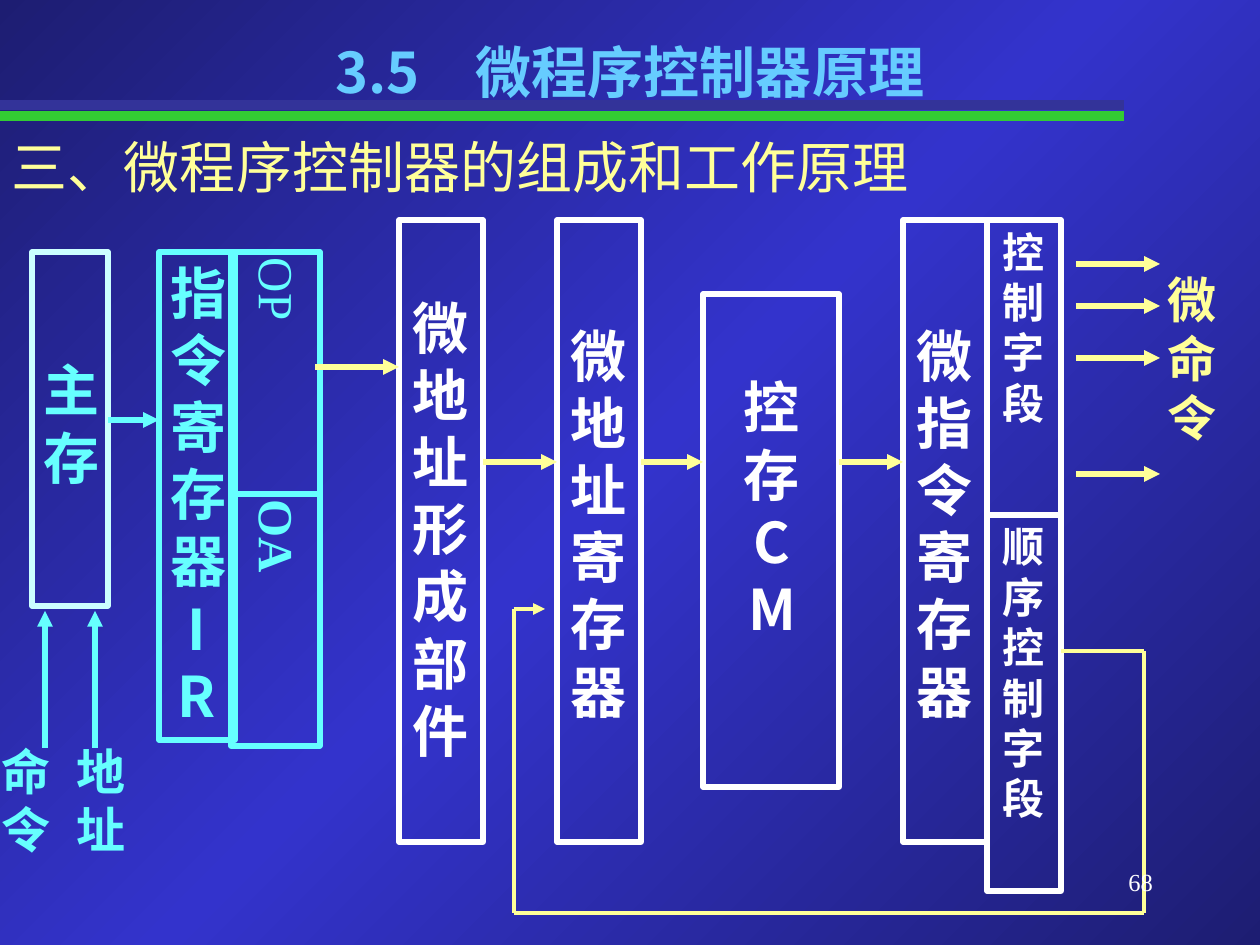
import copy
from dataclasses import dataclass

import pptx
import pptx.util
import pptx.dml.color
import pptx.enum.shapes
import pptx.enum.text
import pptx.oxml.ns
import pptx.oxml.xmlchemy

ALIGN = pptx.enum.text.PP_ALIGN
SCALE = 914400 / 126


@dataclass(frozen=True)
class Theme:
    dark: str = "1D1D72"
    blue: str = "3333CC"
    navy: str = "333399"
    green: str = "33CC33"
    sky: str = "66CCFF"
    cyan: str = "66FFFF"
    pale: str = "CCFFFF"
    cream: str = "FFFF99"
    white: str = "FFFFFF"
    serif: str = "Times New Roman"
    sans: str = "Noto Sans CJK SC"
    big: int = 32
    mid: int = 28
    small: int = 24
    tiny: int = 14
    rule: float = 5.5
    edge: float = 3
    thin: float = 2.25


THEME = Theme()


def px(n):
    return pptx.util.Emu(round(n * SCALE))


def rgb(code):
    return pptx.dml.color.RGBColor.from_string(code)


def write(shape, text, size, color, font=THEME.serif, bold=True,
          align=ALIGN.CENTER, top=6, side=12):
    frame = shape.text_frame
    frame.word_wrap = True
    frame.auto_size = pptx.enum.text.MSO_AUTO_SIZE.NONE
    frame.vertical_anchor = pptx.enum.text.MSO_ANCHOR.TOP
    frame.margin_left = frame.margin_right = px(side)
    frame.margin_top, frame.margin_bottom = px(top), px(6)
    para = frame.paragraphs[0]
    para.alignment = align
    run = para.add_run()
    run.text = text
    run.font.name = font
    run.font.size = pptx.util.Pt(size)
    run.font.bold = bold
    run.font.color.rgb = rgb(color)


def label(slide, box, text, size, color, **style):
    shape = slide.shapes.add_textbox(*map(px, box))
    write(shape, text, size, color, **style)


def block(slide, box, color):
    kind = pptx.enum.shapes.MSO_SHAPE.RECTANGLE
    shape = slide.shapes.add_shape(kind, *map(px, box))
    shape.shadow.inherit = False
    shape.fill.background()
    shape.line.color.rgb = rgb(color)
    shape.line.width = pptx.util.Pt(THEME.edge)
    return shape


def line(slide, start, end, color, width=THEME.edge, arrow=True):
    kind = pptx.enum.shapes.MSO_CONNECTOR.STRAIGHT
    link = slide.shapes.add_connector(kind, *map(px, start + end))
    link.line.color.rgb = rgb(color)
    link.line.width = pptx.util.Pt(width)
    props = link._element.spPr
    if arrow:
        tip = pptx.oxml.xmlchemy.OxmlElement("a:tailEnd")
        tip.set("type", "triangle")
        props.find(pptx.oxml.ns.qn("a:ln")).append(tip)
    props.append(pptx.oxml.xmlchemy.OxmlElement("a:effectLst"))


def paint(slide):
    fill = slide.background.fill
    fill.gradient()
    fill.gradient_angle = 315
    first = fill.gradient_stops[0]
    first.color.rgb = rgb(THEME.dark)
    first._gs.addnext(copy.deepcopy(first._gs))
    colors = (THEME.dark, THEME.blue, THEME.dark)
    for i, (stop, color) in enumerate(zip(fill.gradient_stops, colors)):
        stop.position = i / 2
        stop.color.rgb = rgb(color)


def header(slide, x, y, w):
    for top, color in ((116, THEME.green), (105, THEME.navy)):
        line(slide, (x, y + top), (x + 1124, y + top), color,
             THEME.rule, False)
    title = slide.shapes.title
    title.left, title.top = px(x), px(y + 31)
    title.width, title.height = px(w), px(79)
    write(title, "3.5　微程序控制器原理", THEME.big, THEME.sky, font=THEME.sans)
    label(slide, (x, y + 126, w, 79), "三、微程序控制器的组成和工作原理",
          THEME.big, THEME.cream, bold=False, align=ALIGN.LEFT)


def memory(slide, x, y):
    shape = block(slide, (x, y, 76, 354), THEME.pale)
    write(shape, "主存", THEME.big, THEME.cyan, top=104)
    for text, left, mid in (("命令", -32, 13), ("地址", 43, 63)):
        line(slide, (x + mid, y + 496), (x + mid, y + 359), THEME.cyan)
        label(slide, (x + left, y + 483, 52, 130), text,
              THEME.mid, THEME.cyan, side=0)
    line(slide, (x + 76, y + 168), (x + 127, y + 168), THEME.cyan)


def order(slide, x, y):
    shape = block(slide, (x, y, 76, 488), THEME.cyan)
    write(shape, "指令寄存器IR", THEME.big, THEME.cyan, font=THEME.sans)
    for text, top, high, bold in (("OP", 0, 242, False), ("OA", 242, 252, True)):
        shape = block(slide, (x + 72, y + top, 89, high), THEME.cyan)
        write(shape, text, THEME.mid, THEME.cyan, bold=bold,
              align=ALIGN.LEFT, top=6)
        shape.text_frame._txBody.bodyPr.set("vert", "eaVert")


def core(slide, x, y):
    units = ((0, "微地址形成部件", 73), (158, "微地址寄存器", 101),
             (504, "微指令寄存器", 101))
    for left, text, top in units:
        shape = block(slide, (x + left, y, 84, 622), THEME.white)
        write(shape, text, THEME.big, THEME.white, top=top)
    block(slide, (x + 304, y + 74, 136, 493), THEME.white)
    label(slide, (x + 326, y + 147, 94, 290), "控存CM",
          THEME.big, THEME.white, font=THEME.sans)
    for start, end, top in ((-84, 0, 147), (84, 158, 242),
                            (242, 304, 242), (440, 504, 242)):
        line(slide, (x + start, y + top), (x + end, y + top), THEME.cream)


def fields(slide, x, y):
    for text, top, high in (("控制字段", 0, 295), ("顺序控制字段", 295, 376)):
        shape = block(slide, (x, y + top, 74, high), THEME.white)
        write(shape, text, THEME.small, THEME.white)
    for top in (44, 86, 138, 254):
        line(slide, (x + 89, y + top), (x + 173, y + top), THEME.cream)
    label(slide, (x + 169, y + 44, 63, 189), "微命令",
          THEME.mid, THEME.cream)


def loop(slide, x, y):
    spots = [(x + 547, y + 42), (x + 630, y + 42), (x + 630, y + 304),
             (x, y + 304), (x, y), (x + 31, y)]
    for start, end in zip(spots, spots[1:]):
        line(slide, start, end, THEME.cream, THEME.thin, end == spots[-1])


def main():
    deck = pptx.Presentation()
    deck.slide_width, deck.slide_height = px(1260), px(945)
    slide = deck.slides.add_slide(deck.slide_layouts.get_by_name("Title Only"))
    paint(slide)
    header(slide, 0, 0, 1260)
    memory(slide, 32, 252)
    order(slide, 159, 252)
    core(slide, 399, 220)
    fields(slide, 987, 220)
    loop(slide, 514, 609)
    label(slide, (903, 861, 262, 63), "68", THEME.tiny, THEME.white,
          bold=False, align=ALIGN.RIGHT)
    deck.save("out.pptx")


if __name__ == "__main__":
    main()
